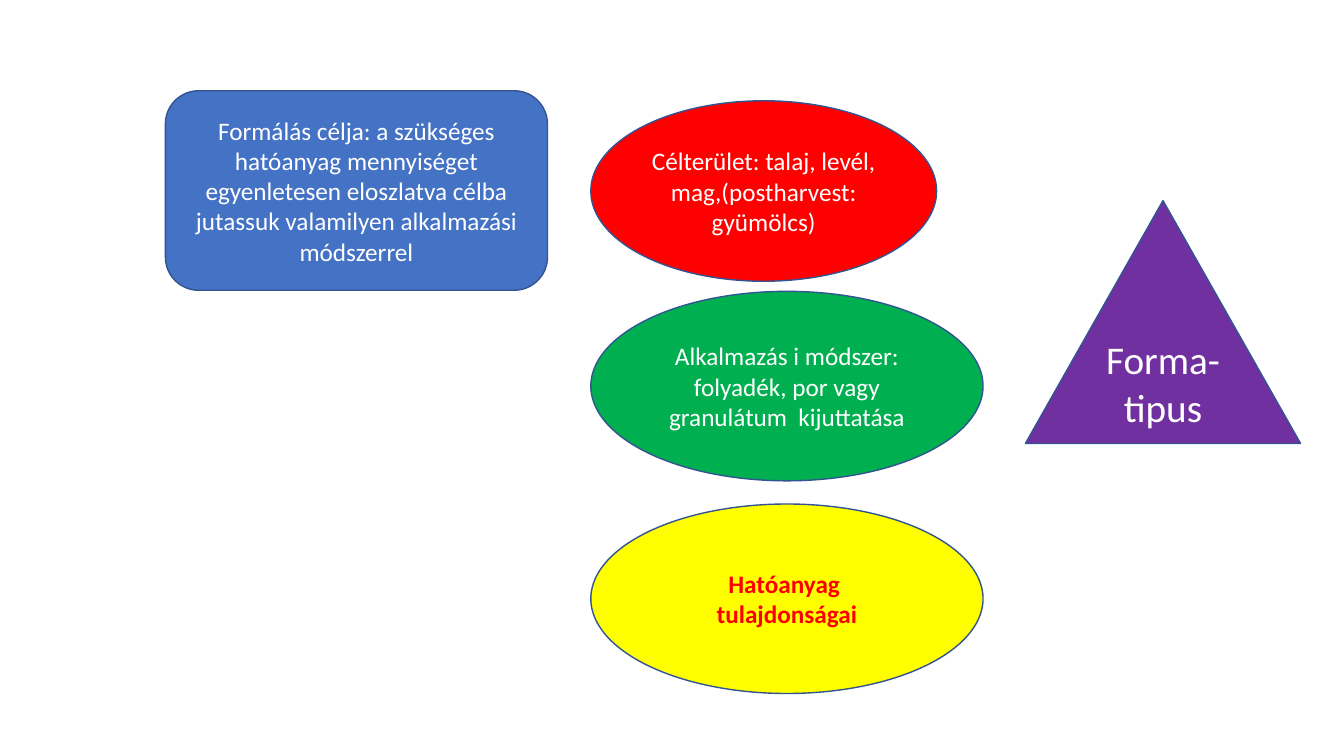
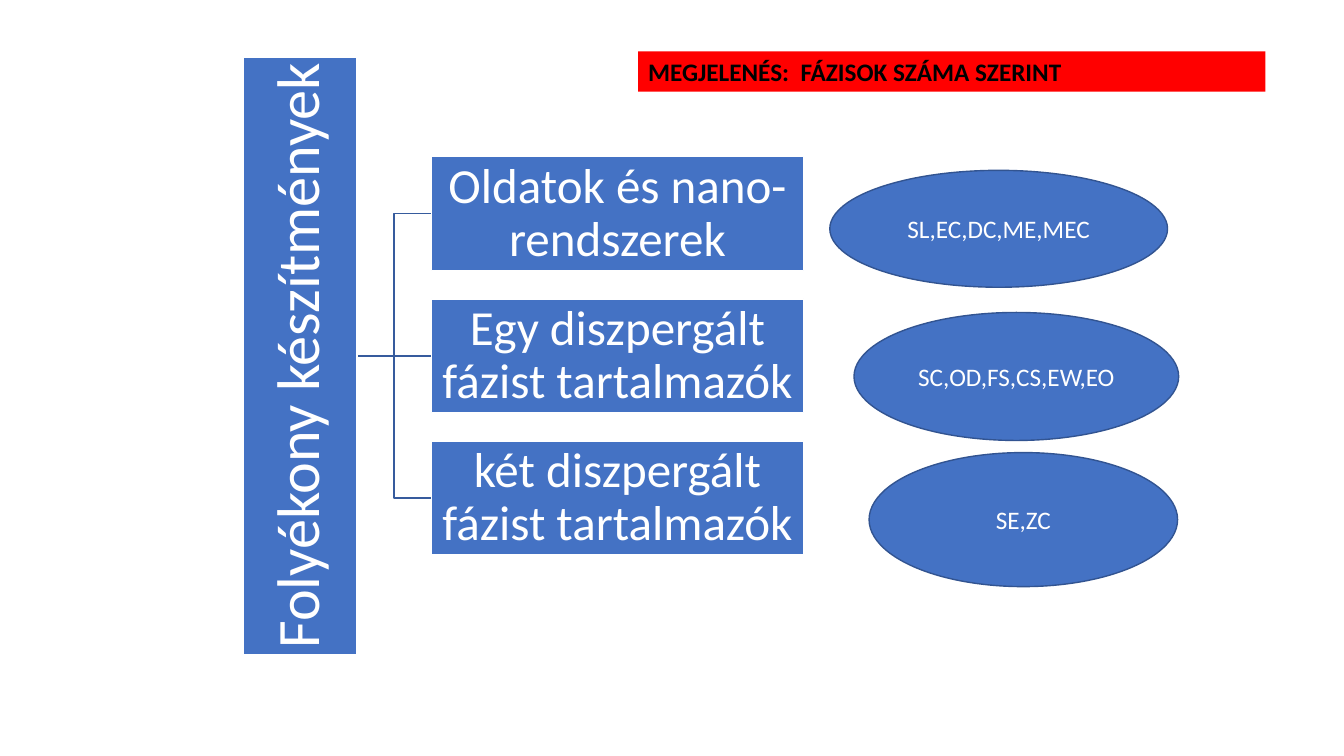
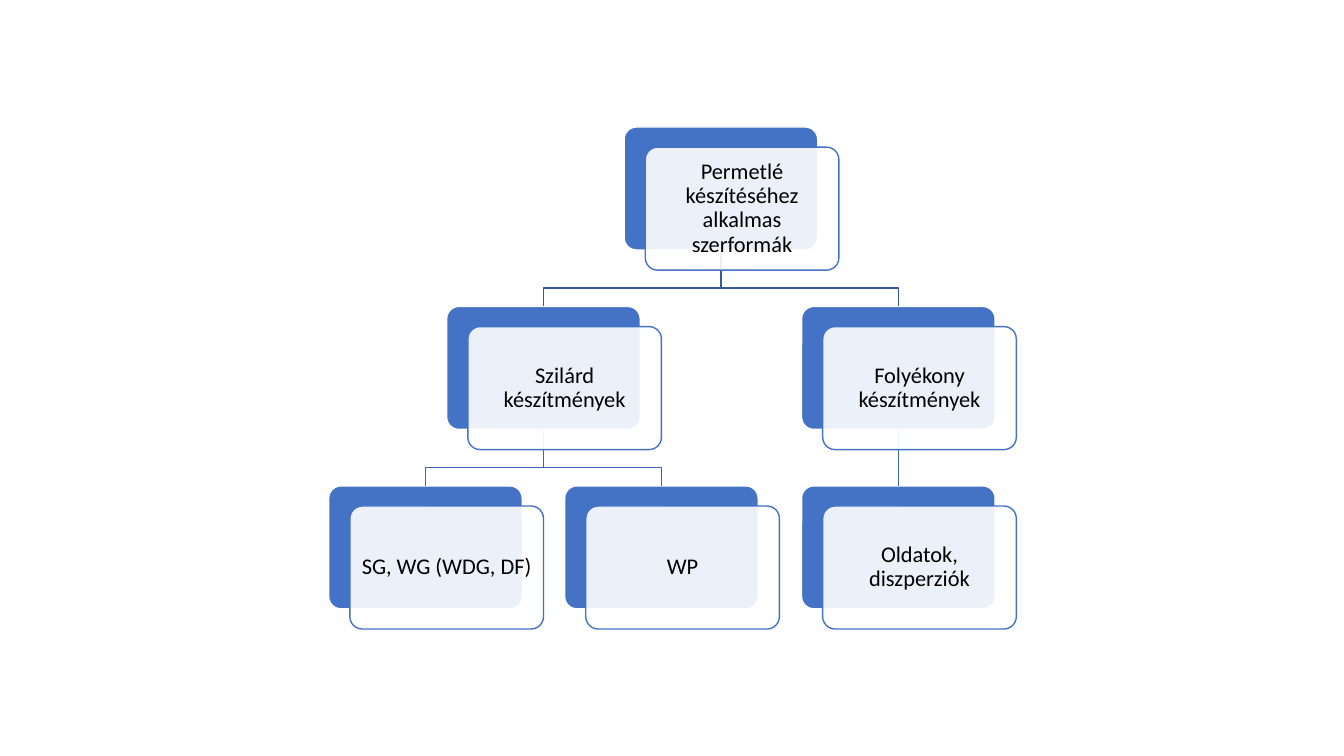
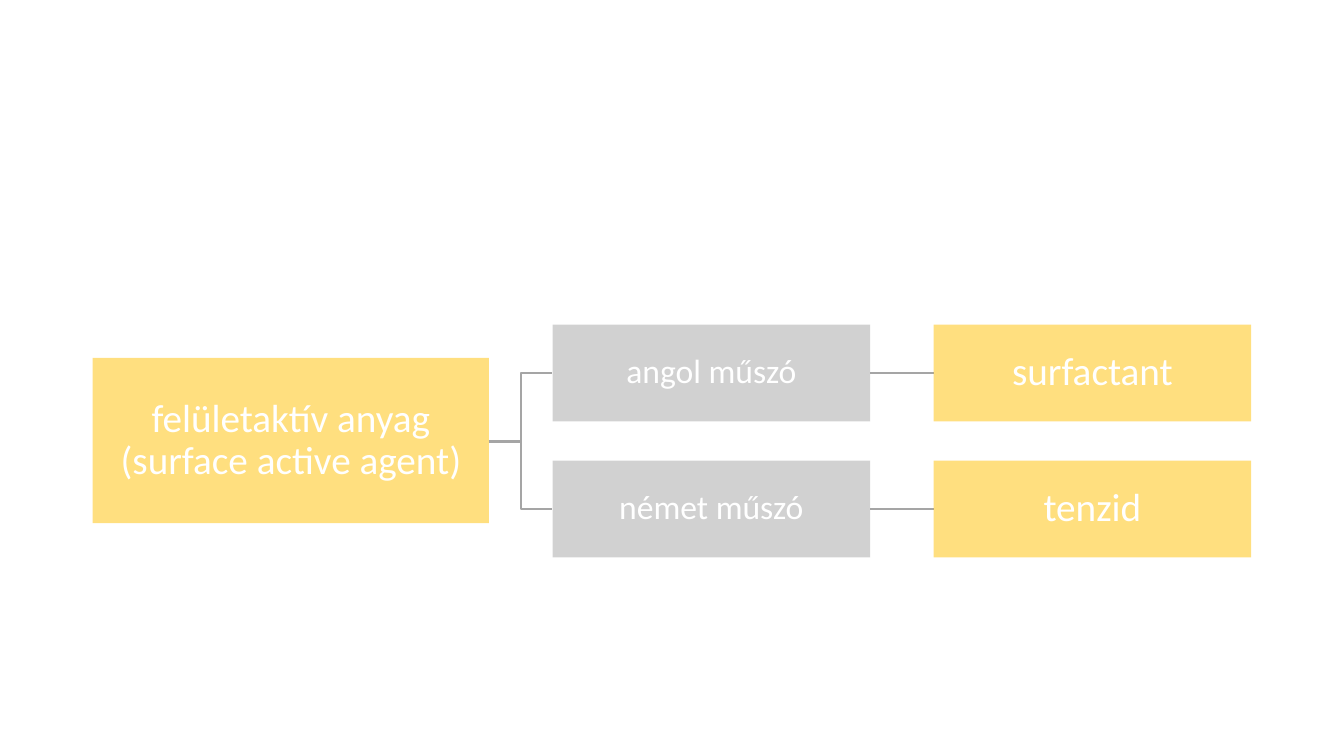
from pptx import Presentation
from pptx.dml.color import RGBColor
from pptx.enum import shapes, text
from pptx.oxml import parse_xml
from pptx.oxml.ns import nsdecls
from pptx.util import Inches, Pt

FONT = "Calibri"
WHITE = RGBColor(0xFF, 0xFF, 0xFF)
BLACK = RGBColor(0, 0, 0)
BLUE = RGBColor(0x44, 0x72, 0xC4)
EDGE = RGBColor(0x32, 0x54, 0x91)
DARK = RGBColor(0x36, 0x5B, 0x9D)
MID = RGBColor(0x3E, 0x67, 0xB2)
RED = RGBColor(0xFF, 0, 0)
GREEN = RGBColor(0, 0xB0, 0x50)
YELLOW = RGBColor(0xFF, 0xFF, 0)
PURPLE = RGBColor(0x70, 0x30, 0xA0)
GOLD = RGBColor(0xFF, 0xC0, 0)
GRAY = RGBColor(0xA5, 0xA5, 0xA5)

KIND = shapes.MSO_SHAPE
ALIGN = text.PP_ALIGN


def write(shape, words, size=18, color=WHITE, bold=False,
          align=ALIGN.CENTER, space=1.0, pad=None,
          anchor=text.MSO_ANCHOR.MIDDLE):
    """Fill a shape with one paragraph; a newline becomes a line break."""
    frame = shape.text_frame
    frame.word_wrap = True
    frame.vertical_anchor = anchor
    if pad is not None:
        frame.margin_left = frame.margin_right = Inches(pad)
        frame.margin_top = frame.margin_bottom = Inches(pad)
    para = frame.paragraphs[0]
    para.alignment = align
    para.line_spacing = space
    for i, line in enumerate(words.split("\n")):
        if i:
            para.add_line_break()
        run = para.add_run()
        run.text = line
        font = run.font
        font.name, font.size, font.bold = FONT, Pt(size), bold
        font.color.rgb = color


class Deck:
    def __init__(self):
        self.file = Presentation()
        self.file.slide_width = Inches(13.33)
        self.file.slide_height = Inches(7.5)
        self.slide = None

    def page(self):
        self.slide = self.file.slides.add_slide(self.file.slide_layouts[6])

    def shape(self, kind, x, y, w, h, fill, line=None, alpha=None, adj=None):
        item = self.slide.shapes.add_shape(
            kind, Inches(x), Inches(y), Inches(w), Inches(h))
        item.shadow.inherit = False
        item.fill.solid()
        item.fill.fore_color.rgb = fill
        if alpha is not None:
            tint = item.fill._xPr.solidFill.srgbClr
            tint.append(parse_xml(
                f'<a:alpha {nsdecls("a")} val="{alpha * 1000}"/>'))
        if line is None:
            item.line.fill.background()
        else:
            item.line.color.rgb = line
            item.line.width = Pt(1)
        if adj is not None:
            item.adjustments[0] = adj
        return item

    def oval(self, x, y, w, h, words, fill=BLUE, **form):
        write(self.shape(KIND.OVAL, x, y, w, h, fill, EDGE), words, **form)

    def box(self, x, y, w, h, words, size, fill=BLUE, line=None,
            alpha=None, turn=0, pad=0.02):
        item = self.shape(KIND.RECTANGLE, x, y, w, h, fill, line, alpha)
        item.rotation = turn
        write(item, words, size=size, space=0.9, pad=pad)

    def card(self, x, y, w, h, words):
        """Draw a blue plate with a pale, labelled plate shifted over it."""
        kind = KIND.ROUNDED_RECTANGLE
        self.shape(kind, x, y, w, h, BLUE, WHITE, adj=0.1)
        front = self.shape(kind, x + 0.21, y + 0.2, w, h, WHITE, BLUE,
                           alpha=90, adj=0.1)
        write(front, words, size=16, color=BLACK, space=0.9, pad=0.07)

    def link(self, points, color, width=1):
        """Join points: a connector for two, an open outline for more."""
        spots = [(Inches(x), Inches(y)) for x, y in points]
        if len(spots) == 2:
            item = self.slide.shapes.add_connector(
                shapes.MSO_CONNECTOR.STRAIGHT, *spots[0], *spots[1])
            item._element.spPr.append(
                parse_xml(f'<a:effectLst {nsdecls("a")}/>'))
        else:
            pen = self.slide.shapes.build_freeform(*spots[0])
            pen.add_line_segments(spots[1:], close=False)
            item = pen.convert_to_shape()
            item.shadow.inherit = False
            item.fill.background()
        item.line.color.rgb = color
        item.line.width = Pt(width)

    def fork(self, x, y, end, rows, color, width=1):
        """Branch rightward from one point to each row."""
        mid = (x + end) / 2
        for row in rows:
            bend = [] if row == y else [(mid, y), (mid, row)]
            self.link([(x, y), *bend, (end, row)], color, width)


def goals(deck):
    deck.page()
    aim = deck.shape(KIND.ROUNDED_RECTANGLE, 1.64, 0.9, 3.79, 1.98, BLUE, EDGE)
    write(aim, "Formálás célja: a szükséges hatóanyag mennyiséget egyenletesen "
               "eloszlatva célba jutassuk valamilyen alkalmazási módszerrel")
    left = 5.86
    deck.oval(left, 1, 3.43, 1.79,
              "Célterület: talaj, levél, mag,(postharvest: gyümölcs)", RED)
    deck.oval(left, 2.89, 3.89, 1.88, "Alkalmazás i módszer: folyadék, por "
              "vagy granulátum  kijuttatása", GREEN)
    deck.oval(left, 5, 3.89, 1.88, "Hatóanyag  tulajdonságai", YELLOW,
              color=RED, bold=True)
    form = deck.shape(KIND.ISOSCELES_TRIANGLE, 10.17, 1.99, 2.73, 2.41,
                      PURPLE, EDGE)
    write(form, "Forma-tipus", size=28)


def liquids(deck):
    deck.page()
    left, high, mid, step = 4.28, 1.13, 3.53, 1.41
    rows = [mid + step * i for i in (-1, 0, 1)]
    deck.fork(3.54, mid, left, rows, DARK)
    deck.box(0.01, mid - high / 2, 5.93, high, "Folyékony készítmények", 43,
             line=WHITE, turn=270, pad=0.03)
    names = ("Oldatok és nano-rendszerek", "Egy diszpergált fázist tartalmazók",
             "két diszpergált fázist tartalmazók")
    for row, name in zip(rows, names):
        deck.box(left, row - high / 2, 3.69, high, name, 35, line=WHITE)
    deck.oval(8.23, 1.69, 3.35, 1.16, "SL,EC,DC,ME,MEC")
    deck.oval(8.47, 3.1, 3.22, 1.27, "SC,OD,FS,CS,EW,EO")
    deck.oval(8.62, 4.49, 3.06, 1.33, "SE,ZC")
    head = deck.shape(KIND.RECTANGLE, 6.33, 0.51, 6.22, 0.4, RED)
    write(head, "MEGJELENÉS:  FÁZISOK SZÁMA SZERINT", color=BLACK, bold=True,
          align=ALIGN.LEFT, anchor=text.MSO_ANCHOR.TOP)


def sprays(deck):
    deck.page()
    wide, high, top, drop = 1.92, 1.22, 1.26, 1.78
    cols = iter([3.26, 5.6, 7.95])
    tree = ("Permetlé készítéséhez alkalmas szerformák", [
        ("Szilárd készítmények", [("SG, WG (WDG, DF)", []), ("WP", [])]),
        ("Folyékony készítmények", [("Oldatok, diszperziók", [])])])

    def grow(node, level):
        """Draw a branch, centred over its children; return its left edge."""
        name, kids = node
        spots = [grow(kid, level + 1) for kid in kids]
        x = (spots[0] + spots[-1]) / 2 if spots else next(cols)
        y = top + drop * level
        base, bar, end = y + high, y + high + 0.38, y + drop
        hub = x + wide / 2
        for spot in spots:
            tip = spot + wide / 2
            bend = [] if spot == x else [(hub, bar), (tip, bar)]
            deck.link([(hub, base), *bend, (tip, end)], (DARK, MID)[level])
        deck.card(x, y, wide, high, name)
        return x

    grow(tree, 0)


def terms(deck):
    deck.page()
    mid, near, far, wide, high = 4.38, 5.48, 9.26, 3.15, 0.96
    rows = [mid - 0.68, mid + 0.67]
    deck.fork(4.85, mid, near, rows, GRAY, 1.5)
    deck.box(0.92, 3.55, 3.93, 1.64,
             "felületaktív anyag\n(surface active agent)", 28, GOLD, alpha=50)
    pairs = (("angol műszó", "surfactant"), ("német műszó", "tenzid"))
    for row, (tongue, term) in zip(rows, pairs):
        y = row - high / 2
        deck.link([(near + wide, row), (far, row)], GRAY, 1.5)
        deck.box(near, y, wide, high, tongue, 24, GRAY, alpha=50)
        deck.box(far, y, wide, high, term, 28, GOLD, alpha=50)


def main():
    deck = Deck()
    for draw in (goals, liquids, sprays, terms):
        draw(deck)
    deck.file.save("out.pptx")


if __name__ == "__main__":
    main()
